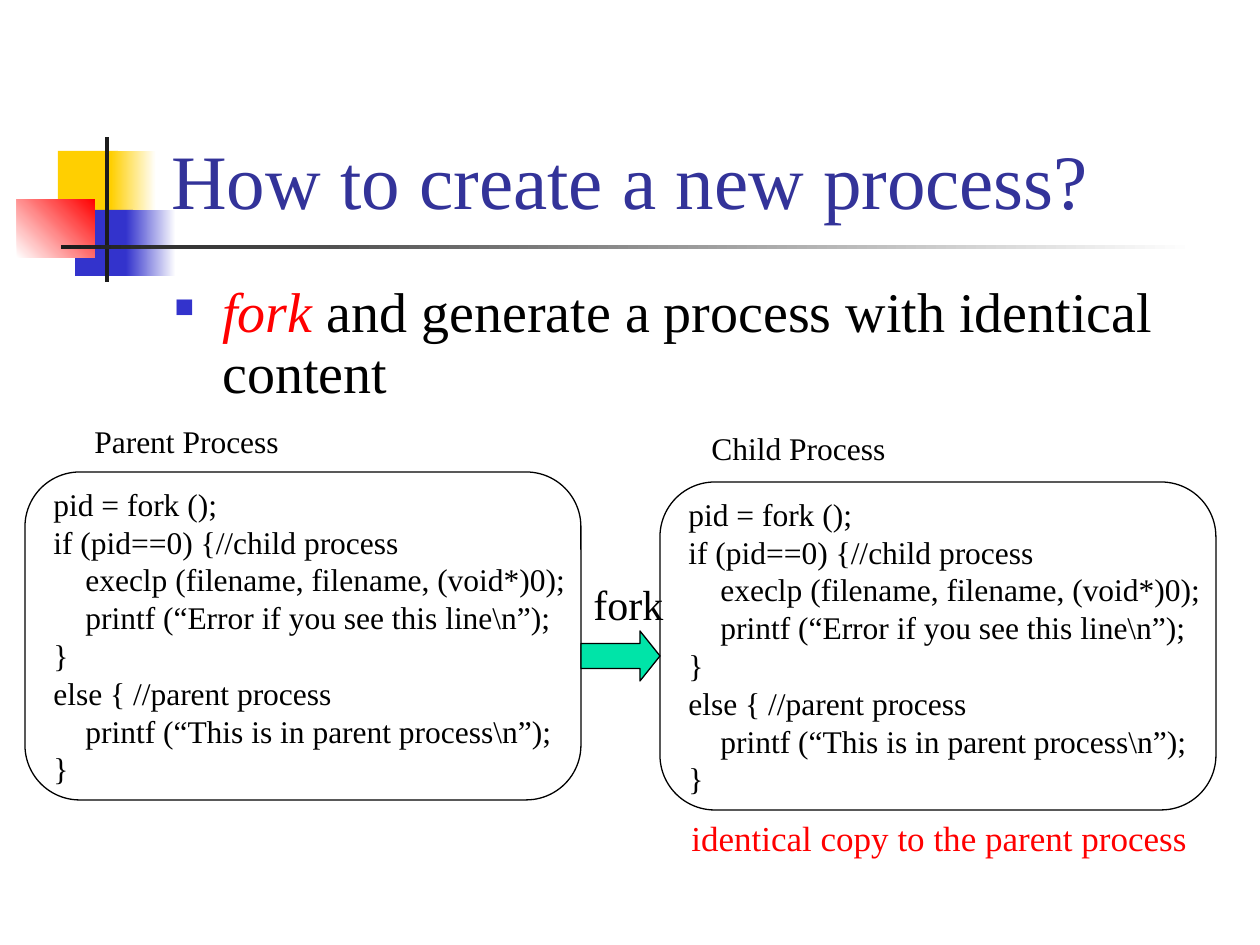
from lxml import etree
from pptx import Presentation
from pptx import util as u
from pptx.dml.color import RGBColor
from pptx.enum import shapes, text
from pptx.oxml.ns import qn

FONT = "Times New Roman"
KIND = shapes.MSO_SHAPE
BLACK, WHITE, RED, BLUE = "000000", "FFFFFF", "FF0000", "3333CC"

# Each code line with its indent level
CODE = [
    (0, "pid = fork ();"),
    (0, "if (pid==0) {//child process"),
    (1, "execlp (filename, filename, (void*)0);"),
    (1, "printf (“Error if you see this line\\n”);"),
    (0, "}"),
    (0, "else { //parent process"),
    (1, "printf (“This is in parent process\\n”);"),
    (0, "}"),
]


def px(n):
    return u.Emu(round(n * 914400 / 126))


def rgb(code):
    return RGBColor.from_string(code)


class Deck:
    def __init__(self, wide, high):
        self.prs = Presentation()
        self.prs.slide_width, self.prs.slide_height = px(wide), px(high)
        self.slide = self.prs.slides.add_slide(self.prs.slide_layouts[6])

    def shape(self, kind, box, fill=None, line=None, adj=()):
        item = self.slide.shapes.add_shape(kind, *map(px, box))
        item.shadow.inherit = False
        if fill:
            item.fill.solid()
            item.fill.fore_color.rgb = rgb(fill)
        else:
            item.fill.background()
        if line:
            item.line.color.rgb = rgb(line)
            item.line.width = u.Pt(0.75)
        else:
            item.line.fill.background()
        for i, part in enumerate(adj):
            item.adjustments[i] = part
        return item

    def fade(self, box, start, end, angle=0):
        fill = self.shape(KIND.RECTANGLE, box).fill
        fill.gradient()
        fill.gradient_angle = angle
        for stop, code in zip(fill.gradient_stops, (start, end)):
            stop.color.rgb = rgb(code)

    def style(self, para, size, color):
        para.alignment = text.PP_ALIGN.LEFT
        para.font.name, para.font.size = FONT, u.Pt(size)
        para.font.color.rgb = rgb(color)

    def label(self, box, words, size, color=BLACK, wrap=False):
        frame = self.slide.shapes.add_textbox(*map(px, box)).text_frame
        frame.word_wrap = wrap
        frame.auto_size = text.MSO_AUTO_SIZE.NONE
        para = frame.paragraphs[0]
        para.text = words
        self.style(para, size, color)
        return frame

    def bullet(self, para, color, percent, char, indent):
        props = para._p.get_or_add_pPr()
        props.set("marL", str(px(indent)))
        props.set("indent", str(-px(indent)))
        tint = etree.Element(qn("a:buClr"))
        etree.SubElement(tint, qn("a:srgbClr"), val=color)
        size = etree.Element(qn("a:buSzPct"), val=str(percent * 1000))
        mark = etree.Element(qn("a:buChar"), char=char)
        spot = props.find(qn("a:defRPr"))
        for node in (tint, size, mark):
            spot.addprevious(node)

    def code(self, box):
        frame = self.shape(KIND.ROUNDED_RECTANGLE, box, line=BLACK,
                           adj=[0.167]).text_frame
        frame.word_wrap = False
        frame.vertical_anchor = text.MSO_ANCHOR.MIDDLE
        for i, (level, words) in enumerate(CODE):
            para = frame.add_paragraph() if i else frame.paragraphs[0]
            para.text = words
            self.style(para, 18, BLACK)
            para._p.get_or_add_pPr().set("marL", str(px(32 * level)))


def main():
    deck = Deck(1260, 945)

    # Corner ornament and title rule
    deck.shape(KIND.RECTANGLE, (58, 151, 60, 66), "FFCF01")
    deck.fade((111, 151, 45, 66), "FFCF01", WHITE)
    deck.shape(KIND.RECTANGLE, (75, 210, 58, 66), BLUE)
    deck.fade((126, 210, 50, 66), BLUE, WHITE)
    deck.fade((17, 199, 78, 59), WHITE, RED, 45)
    deck.shape(KIND.RECTANGLE, (105, 137, 4, 145), "1C1C1C")
    deck.fade((61, 245, 1134, 4), "1C1C1C", WHITE)

    # Title
    title = deck.label((159, 29, 1074, 202), "How to create a new process?",
                       44, "333399", wrap=True)
    title.vertical_anchor = text.MSO_ANCHOR.BOTTOM

    # Bullet point
    point = deck.label((162, 278, 1072, 135), "fork", 32, wrap=True).paragraphs[0]
    point.line_spacing, point.space_before = 0.9, u.Pt(8)
    deck.bullet(point, BLUE, 48, "■", 48)
    word = point.runs[0].font
    word.italic, word.color.rgb = True, rgb(RED)
    point.add_run().text = " and generate a process with identical content"

    # Parent process
    deck.code((25, 472, 556, 328))
    deck.label((82, 416, 216, 50), "Parent Process", 18)

    # Fork arrow
    deck.shape(KIND.RIGHT_ARROW, (581, 631, 79, 50), "00E4A8", BLACK, [0.5, 0.4])
    deck.label((581, 572, 100, 63), "fork", 24)

    # Child process
    deck.code((660, 482, 556, 328))
    deck.label((699, 423, 206, 50), "Child Process", 18)
    deck.label((679, 810, 530, 55), "identical copy to the parent process", 20, RED)

    deck.prs.save("out.pptx")


if __name__ == "__main__":
    main()
